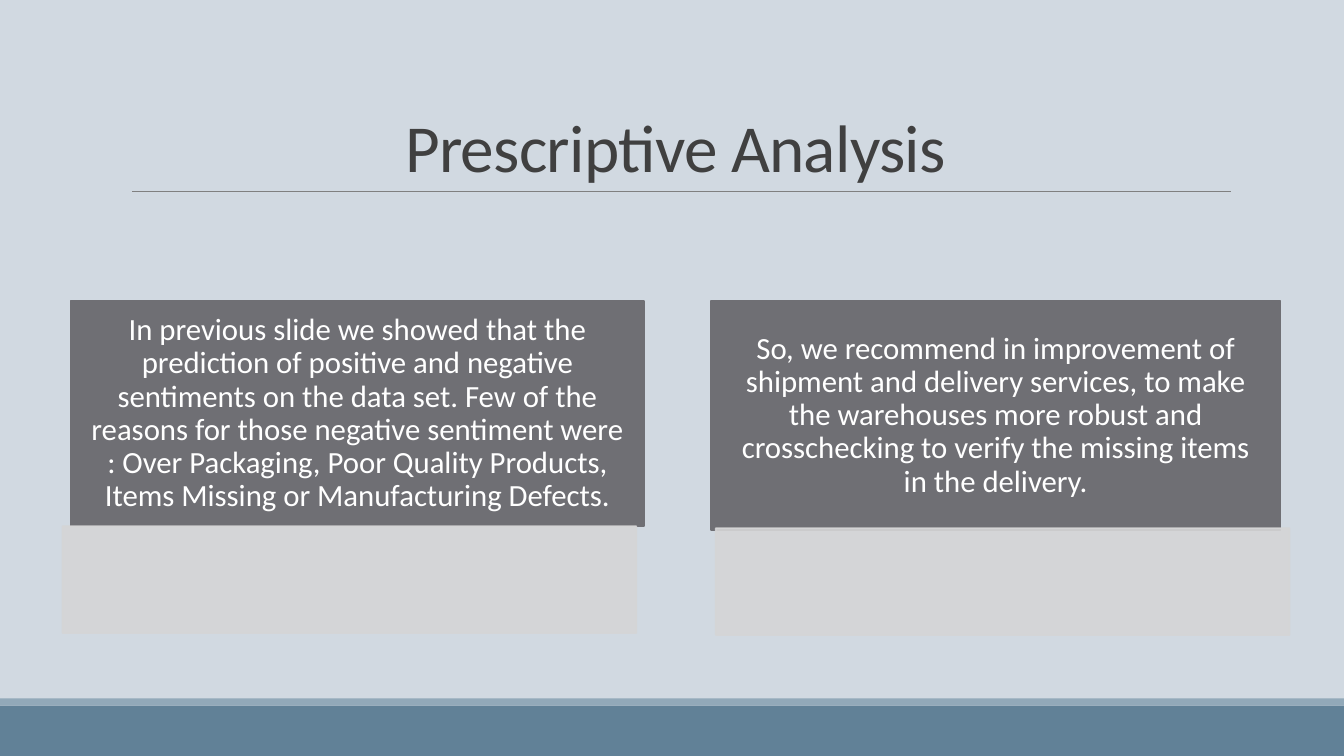
from dataclasses import dataclass

from lxml import etree
from pptx import Presentation
from pptx.dml.color import RGBColor
from pptx.enum.shapes import MSO_CONNECTOR, MSO_SHAPE
from pptx.enum.text import MSO_ANCHOR, PP_ALIGN
from pptx.oxml.ns import qn
from pptx.shapes.autoshape import Shape
from pptx.slide import Slide
from pptx.text.text import TextFrame
from pptx.util import Inches, Pt

RECTANGLE = MSO_SHAPE.RECTANGLE
STRAIGHT = MSO_CONNECTOR.STRAIGHT
CENTER = PP_ALIGN.CENTER
BOTTOM, MIDDLE = MSO_ANCHOR.BOTTOM, MSO_ANCHOR.MIDDLE

BACKGROUND = RGBColor(0xD1, 0xD9, 0xE1)
FOOTER = RGBColor(0x61, 0x81, 0x97)
FOOTER_EDGE = RGBColor(0x92, 0xA9, 0xB9)
RULE = RGBColor(0x80, 0x80, 0x80)
TITLE = RGBColor(0x40, 0x40, 0x40)
CARD = RGBColor(0x6F, 0x6F, 0x74)
STRIP = RGBColor(0xD5, 0xD5, 0xD6)
WHITE = RGBColor(0xFF, 0xFF, 0xFF)

FONT = "Calibri"
CARD_TOP = 2.99
STRIP_WIDTH, STRIP_HEIGHT = 5.69, 1.06
STRIP_OPACITY = 90


@dataclass(frozen=True)
class Box:
    left: float
    top: float
    width: float
    height: float


@dataclass(frozen=True)
class Card:
    text: str
    left: float
    width: float
    height: float
    strip_left: float
    strip_top: float


CARDS = (
    Card(
        "In previous slide we showed that the prediction of positive and negative "
        "sentiments on the data set. Few of the reasons for those negative sentiment "
        "were\n: Over Packaging, Poor Quality Products, Items Missing or "
        "Manufacturing Defects.",
        0.7, 5.69, 2.23, 0.62, 5.22,
    ),
    Card(
        "So, we recommend in improvement of shipment and delivery services, to make "
        "the warehouses more robust and crosschecking to verify the missing items "
        "in the delivery.",
        7.05, 5.65, 2.27, 7.1, 5.24,
    ),
)


def add_rectangle(page: Slide, box: Box, color: RGBColor, outlined: bool) -> Shape:
    shape = page.shapes.add_shape(
        RECTANGLE, Inches(box.left), Inches(box.top), Inches(box.width), Inches(box.height)
    )
    shape.shadow.inherit = False
    shape.fill.solid()
    shape.fill.fore_color.rgb = color
    if outlined:
        shape.line.color.rgb = color
        shape.line.width = Pt(1.25)
    else:
        shape.line.fill.background()
    return shape


def set_opacity(shape: Shape, percent: int) -> None:
    """Apply the same opacity to the fill and the outline."""
    for color in shape.element.spPr.iter(qn("a:srgbClr")):
        etree.SubElement(color, qn("a:alpha")).set("val", str(percent * 1000))


def write_text(
    frame: TextFrame, text: str, size: float, color: RGBColor,
    line_spacing: float, anchor: MSO_ANCHOR, tracking: float = 0,
) -> None:
    """Write one centred paragraph, breaking lines at newlines; tracking is in points."""
    frame.word_wrap = True
    frame.vertical_anchor = anchor
    para = frame.paragraphs[0]
    para.alignment = CENTER
    para.line_spacing = line_spacing
    for index, part in enumerate(text.split("\n")):
        if index:
            para.add_line_break()
        span = para.add_run()
        span.text = part
        span.font.name = FONT
        span.font.size = Pt(size)
        span.font.color.rgb = color
        if tracking:
            span.font._element.set("spc", str(round(tracking * 100)))


def add_title(page: Slide) -> None:
    box = page.shapes.add_textbox(Inches(1.2), Inches(0.31), Inches(11), Inches(1.59))
    write_text(box.text_frame, "Prescriptive Analysis", 48, TITLE, 0.85, BOTTOM, -0.5)


def add_title_rule(page: Slide) -> None:
    rule = page.shapes.add_connector(
        STRAIGHT, Inches(1.31), Inches(1.9), Inches(12.21), Inches(1.9)
    )
    rule.line.color.rgb = RULE
    rule.line.width = Pt(0.5)
    etree.SubElement(rule.element.spPr, qn("a:effectLst"))


def add_card(page: Slide, card: Card) -> None:
    """Draw a text card and the translucent strip below it."""
    panel = add_rectangle(page, Box(card.left, CARD_TOP, card.width, card.height), CARD, True)
    frame = panel.text_frame
    frame.margin_left = frame.margin_right = Inches(0.17)
    frame.margin_top = frame.margin_bottom = Inches(0.1)
    write_text(frame, card.text, 22, WHITE, 0.9, MIDDLE)

    strip_box = Box(card.strip_left, card.strip_top, STRIP_WIDTH, STRIP_HEIGHT)
    set_opacity(add_rectangle(page, strip_box, STRIP, True), STRIP_OPACITY)


def main() -> None:
    deck = Presentation()
    deck.slide_width, deck.slide_height = Inches(13.33), Inches(7.5)
    page = deck.slides.add_slide(deck.slide_layouts[6])
    page.background.fill.solid()
    page.background.fill.fore_color.rgb = BACKGROUND

    add_rectangle(page, Box(0, 7, 13.33, 0.5), FOOTER, False)
    add_rectangle(page, Box(0, 6.93, 13.33, 0.07), FOOTER_EDGE, False)
    add_title_rule(page)
    add_title(page)
    for card in CARDS:
        add_card(page, card)
    deck.save("out.pptx")


if __name__ == "__main__":
    main()
